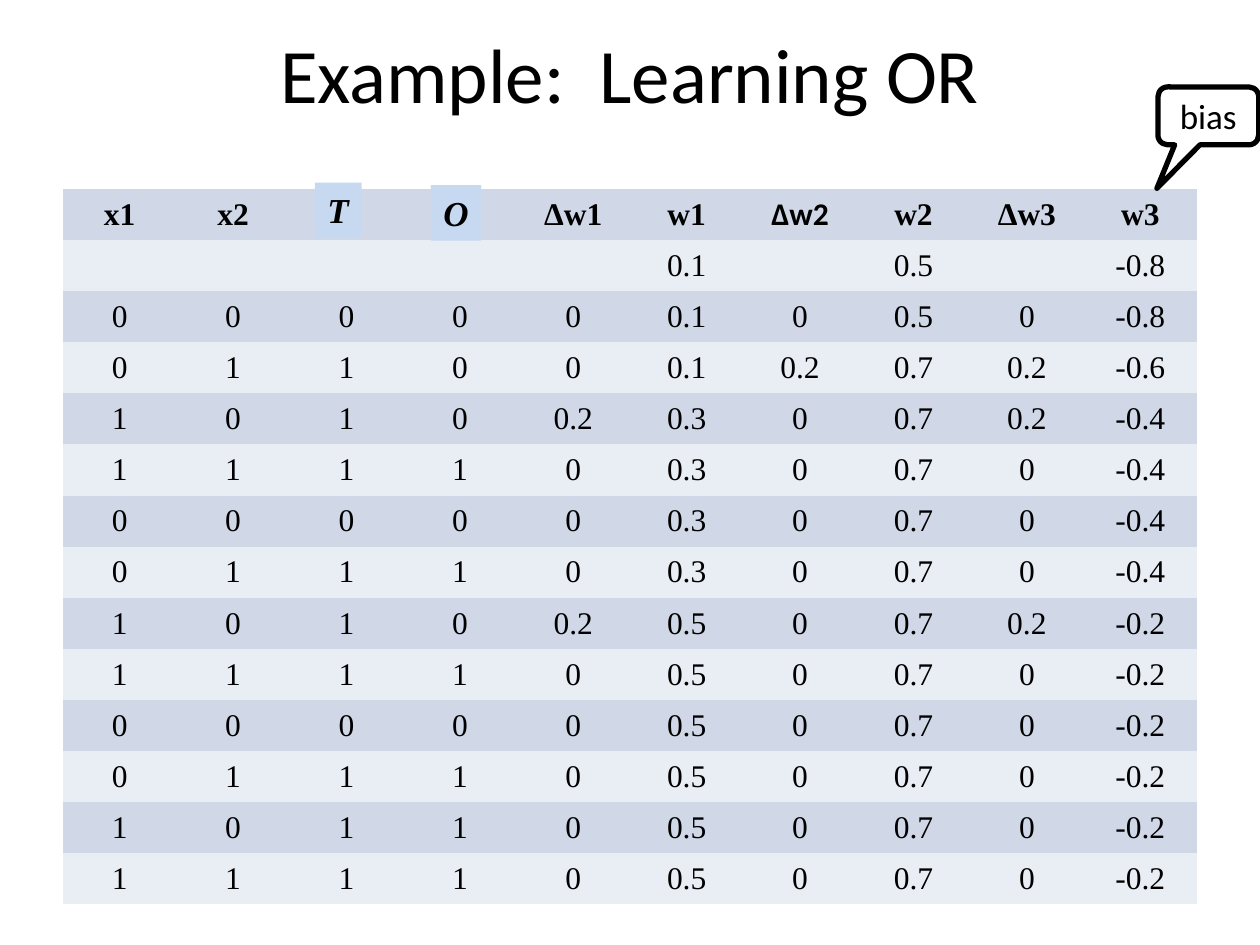
from pptx import Presentation
from pptx.dml.color import RGBColor
from pptx.enum.shapes import MSO_SHAPE as Shape
from pptx.enum.text import MSO_ANCHOR as Anchor, PP_ALIGN as Align
from pptx.oxml.ns import qn
from pptx.util import Inches, Pt

BLACK = RGBColor(0x00, 0x00, 0x00)
WHITE = RGBColor(0xFF, 0xFF, 0xFF)
LABEL_BLUE = RGBColor(0xC6, 0xD9, 0xF1)
BANDS = (RGBColor(0xD0, 0xD8, 0xE8), RGBColor(0xE9, 0xED, 0xF4))
PLAIN_STYLE = "{2D5ABB26-0587-4C30-8999-92F81FD0307C}"

TITLE = "Example:  Learning OR"
HEADER = ("x1", "x2", "", "", "Δw1", "w1", "Δw2", "w2", "Δw3", "w3")
START = ("", "", "", "", "", "0.1", "", "0.5", "", "-0.8")
STEPS = (
    "0 0 0 0 0 0.1 0 0.5 0 -0.8",
    "0 1 1 0 0 0.1 0.2 0.7 0.2 -0.6",
    "1 0 1 0 0.2 0.3 0 0.7 0.2 -0.4",
    "1 1 1 1 0 0.3 0 0.7 0 -0.4",
    "0 0 0 0 0 0.3 0 0.7 0 -0.4",
    "0 1 1 1 0 0.3 0 0.7 0 -0.4",
    "1 0 1 0 0.2 0.5 0 0.7 0.2 -0.2",
    "1 1 1 1 0 0.5 0 0.7 0 -0.2",
    "0 0 0 0 0 0.5 0 0.7 0 -0.2",
    "0 1 1 1 0 0.5 0 0.7 0 -0.2",
    "1 0 1 1 0 0.5 0 0.7 0 -0.2",
    "1 1 1 1 0 0.5 0 0.7 0 -0.2",
)
ROWS = [HEADER, START] + [step.split() for step in STEPS]
COLUMN_LABELS = (
    ("T", (2.5, 1.45, 0.37, 0.44)),
    ("O", (3.42, 1.47, 0.4, 0.44)),
)

TITLE_FONT = {"name": "Calibri", "size": Pt(44)}
CALLOUT_FONT = {"name": "Calibri", "size": Pt(20)}
LABEL_FONT = {"name": "Times New Roman", "size": Pt(20), "bold": True, "italic": True}
BODY_FONT = {"name": "Times New Roman", "size": Pt(18), "bold": False}
HEADER_FONT = BODY_FONT | {"bold": True}


def write(frame, text, font, align=Align.CENTER):
    para = frame.paragraphs[0]
    para.alignment = align
    span = para.add_run()
    span.text = text
    for name, value in font.items():
        setattr(span.font, name, value)
    span.font.color.rgb = BLACK


def add_box(page, kind, place, fill):
    box = page.shapes.add_shape(kind, *map(Inches, place))
    box.shadow.inherit = False
    box.fill.solid()
    box.fill.fore_color.rgb = fill
    return box


def add_title(page):
    box = page.shapes.add_textbox(*map(Inches, (0.5, 0, 9, 1.15)))
    box.text_frame.word_wrap = True
    box.text_frame.vertical_anchor = Anchor.MIDDLE
    write(box.text_frame, TITLE, TITLE_FONT)


def add_weights(page):
    place = map(Inches, (0.5, 1.5, 9, 5.68))
    table = page.shapes.add_table(len(ROWS), len(HEADER), *place).table
    table._tbl.tblPr.find(qn("a:tableStyleId")).text = PLAIN_STYLE
    for r, values in enumerate(ROWS):
        for c, value in enumerate(values):
            cell = table.cell(r, c)
            cell.fill.solid()
            cell.fill.fore_color.rgb = BANDS[r % 2]
            cell.vertical_anchor = Anchor.MIDDLE
            if value:
                font = BODY_FONT if r else HEADER_FONT
                if value == "Δw2":
                    font = font | {"name": "Calibri"}
                write(cell.text_frame, value, font)


def add_callout(page):
    box = add_box(page, Shape.ROUNDED_RECTANGULAR_CALLOUT, (9.19, 0.69, 0.8, 0.46), WHITE)
    for i, value in enumerate((-0.51, 1.25, 0.17)):
        box.adjustments[i] = value
    box.line.color.rgb = BLACK
    box.line.width = Pt(3)
    box.text_frame.vertical_anchor = Anchor.MIDDLE
    write(box.text_frame, "bias", CALLOUT_FONT)


def add_column_labels(page):
    for text, place in COLUMN_LABELS:
        box = add_box(page, Shape.RECTANGLE, place, LABEL_BLUE)
        box.line.fill.background()
        box.text_frame.word_wrap = False
        box.text_frame.vertical_anchor = Anchor.TOP
        write(box.text_frame, text, LABEL_FONT, Align.LEFT)


def main():
    deck = Presentation()
    deck.slide_width, deck.slide_height = Inches(10), Inches(7.5)
    page = deck.slides.add_slide(deck.slide_layouts[6])
    add_title(page)
    add_weights(page)
    add_callout(page)
    add_column_labels(page)
    deck.save("out.pptx")


if __name__ == "__main__":
    main()
